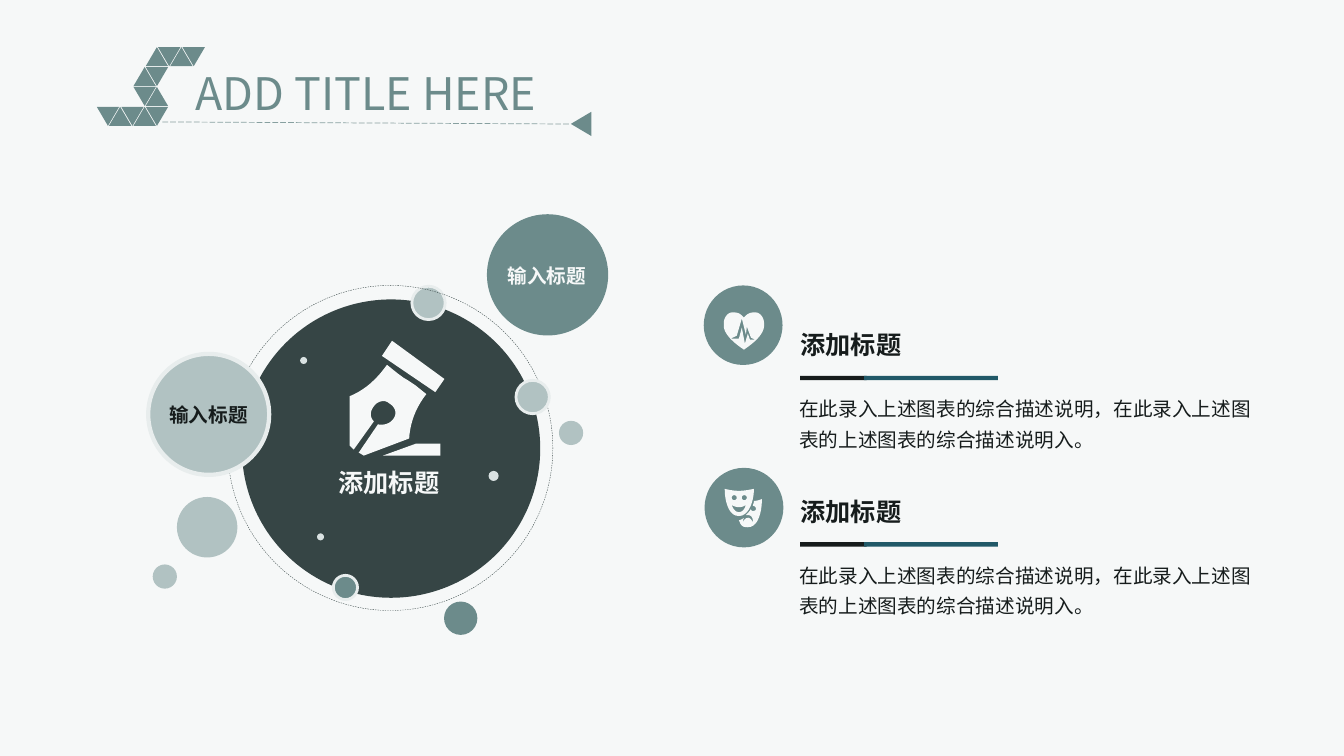
"""Build the pen-and-circles title slide with two described topics."""
from dataclasses import dataclass
from typing import Optional

from lxml import etree
from pptx import Presentation
from pptx import util as u
from pptx.dml.color import RGBColor
from pptx.enum import dml, shapes, text
from pptx.oxml import ns

PAPER, INK, DARK, TEAL = "F6F8F8", "161C1C", "364545", "6C8B8B"
MIST, HALO, SPECK, BLUE = "B1C2C2", "E8EDED", "DAE2E2", "215968"
NOTO, NARROW = "Noto Sans CJK SC", "Arial Narrow"
MIDDLE, TOP = text.MSO_ANCHOR.MIDDLE, text.MSO_ANCHOR.TOP


@dataclass
class Bubble:
    x: float
    y: float
    size: float
    fill: Optional[str]
    edge: Optional[str] = None
    edge_width: float = 2
    dashed: bool = False


@dataclass
class Label:
    words: str
    x: float
    y: float
    width: float
    height: float
    size: float
    color: str
    font: str = NOTO
    bold: bool = True
    centered: bool = False
    inset: tuple = (7.2, 3.6)
    anchor: text.MSO_ANCHOR = MIDDLE
    spacing: Optional[float] = None


@dataclass
class Topic:
    heading: str
    description: str
    badge_x: float
    badge_y: float
    heading_y: float
    icon: list


def paint(fill, color: str) -> None:
    fill.solid()
    fill.fore_color.rgb = RGBColor.from_string(color)


def finish(shape, fill: Optional[str]) -> None:
    shape.shadow.inherit = False
    shape.line.fill.background()
    if fill:
        paint(shape.fill, fill)
    else:
        shape.fill.background()


def draw_preset(slide, kind, x: float, y: float, width: float, height: float, fill: Optional[str]):
    shape = slide.shapes.add_shape(kind, u.Pt(x), u.Pt(y), u.Pt(width), u.Pt(height))
    finish(shape, fill)
    return shape


def draw_bubble(slide, bubble: Bubble) -> None:
    disc = draw_preset(slide, shapes.MSO_SHAPE.OVAL, bubble.x, bubble.y, bubble.size, bubble.size, bubble.fill)
    if bubble.edge:
        paint(disc.line.fill, bubble.edge)
        disc.line.width = u.Pt(bubble.edge_width)
    if bubble.dashed:
        disc.line.dash_style = dml.MSO_LINE.DASH


def write(shape, label: Label) -> None:
    shape.left, shape.top = u.Pt(label.x), u.Pt(label.y)
    shape.width, shape.height = u.Pt(label.width), u.Pt(label.height)
    frame = shape.text_frame
    frame.word_wrap, frame.auto_size = True, text.MSO_AUTO_SIZE.NONE
    frame.vertical_anchor = label.anchor
    frame.margin_left = frame.margin_right = u.Pt(label.inset[0])
    frame.margin_top = frame.margin_bottom = u.Pt(label.inset[1])
    paragraph = frame.paragraphs[0]
    paragraph.alignment = text.PP_ALIGN.CENTER if label.centered else text.PP_ALIGN.LEFT
    if label.spacing:
        paragraph.line_spacing = u.Pt(label.spacing)
    run = paragraph.add_run()
    run.text = label.words
    run.font.size, run.font.bold, run.font.name = u.Pt(label.size), label.bold, label.font
    paint(run.font.fill, label.color)
    etree.SubElement(run.font._element, ns.qn("a:ea"), typeface=NOTO)


def draw_label(slide, label: Label) -> None:
    write(slide.shapes.add_textbox(0, 0, 0, 0), label)


def flatten(outline: list, steps: int = 10) -> list:
    """Turn points (x, y) and cubic curves (x1, y1, x2, y2, x, y) into hundredths of a point."""
    points = [outline[0]]
    for segment in outline[1:]:
        if len(segment) == 2:
            points.append(segment)
            continue
        corners = [points[-1], segment[:2], segment[2:4], segment[4:]]
        for step in range(1, steps + 1):
            t = step / steps
            weights = ((1 - t) ** 3, 3 * t * (1 - t) ** 2, 3 * t * t * (1 - t), t ** 3)
            points.append(tuple(sum(w * c[axis] for w, c in zip(weights, corners)) for axis in (0, 1)))
    return [(x * 100, y * 100) for x, y in points]


def draw_icon(slide, outlines: list) -> None:
    contours = [flatten(outline) for outline in outlines]
    builder = slide.shapes.build_freeform(*contours[0][0], scale=u.Pt(1) / 100)
    for index, contour in enumerate(contours):
        if index:
            builder.move_to(*contour[0])
        builder.add_line_segments(contour[1:], close=True)
    finish(builder.convert_to_shape(), PAPER)


def eye(x: float, y: float = 355.5, r: float = 1.8) -> list:
    k = r * 0.55
    return [(x - r, y), (x - r, y - k, x - k, y - r, x, y - r), (x + k, y - r, x + r, y - k, x + r, y),
            (x + r, y + k, x + k, y + r, x, y + r), (x - k, y + r, x - r, y + k, x - r, y)]


def draw_topic(slide, topic: Topic) -> None:
    draw_preset(slide, shapes.MSO_SHAPE.OVAL, topic.badge_x, topic.badge_y, 56.3, 56.8, TEAL)
    draw_icon(slide, topic.icon)
    y = topic.heading_y
    draw_label(slide, Label(topic.description, 565.9, y + 43.2, 340.6, 47.5, 14, INK, bold=False,
                            inset=(5, 3), anchor=TOP, spacing=21.8))
    draw_label(slide, Label(topic.heading, 566.9, y, 83.5, 27.4, 18, INK, inset=(5, 3)))
    for x, width, color in ((571.5, 47.5, INK), (617.2, 95.7, BLUE)):
        draw_preset(slide, shapes.MSO_SHAPE.RECTANGLE, x, y + 35.9, width, 3.1, color)


def draw_header(slide) -> None:
    write(slide.shapes.title, Label("ADD TITLE HERE", 132.5, 40.3, 333.4, 46.1, 32, TEAL, bold=False,
                                    anchor=TOP, spacing=41.5))
    rule = slide.shapes.add_connector(shapes.MSO_CONNECTOR.STRAIGHT, u.Pt(116), u.Pt(87.1), u.Pt(407.5), u.Pt(88.6))
    paint(rule.line.fill, TEAL)
    rule.line.width, rule.line.dash_style = u.Pt(0.5), dml.MSO_LINE.LONG_DASH
    tint = rule._element.spPr.find(".//" + ns.qn("a:srgbClr"))
    etree.SubElement(tint, ns.qn("a:alpha"), val="80000")
    etree.SubElement(rule._element.spPr, ns.qn("a:effectLst"))
    triangle = shapes.MSO_SHAPE.ISOSCELES_TRIANGLE
    draw_preset(slide, triangle, 406.4, 81.2, 17.3, 14.6, TEAL).rotation = 270
    for row, columns in enumerate((range(4, 8), range(3, 5), range(3, 5), range(5))):
        for column in columns:
            tile = draw_preset(slide, triangle, 69.1 + 8.75 * column, 33.7 + 14.2 * row, 16, 13.6, TEAL)
            tile.rotation = 180 * ((row + column) % 2)


PEN = [
    [(252.7, 321.1), (249.8, 318.2), (249.8, 283), (260.6, 278.6, 268.6, 271.4, 276.5, 260.6), (283.7, 266.4),
     (288, 269.6), (292.3, 272.2), (297, 275.4), (304.6, 281.5), (296.6, 291.6, 293, 302.4, 292.3, 313.2),
     (259.9, 325.4), (256.3, 323.3), (270, 303.1), (273.6, 303.8, 277.9, 303.1, 280.8, 299.5),
     (283.7, 295.9, 283, 290.9, 277.9, 288), (275, 285.1, 269.3, 286.6, 267.1, 290.2),
     (264.2, 293.8, 264.2, 298.1, 267.1, 301)],
    [(273.6, 325.4), (314.6, 325.4), (314.6, 316.8), (297.4, 316.8)],
    [(311, 280.1), (317.5, 270.7), (280.1, 243.4), (272.9, 254.2)],
]
HEART = [
    [(531.4, 249.8), (520.6, 242.6, 517, 236.9, 517, 232.6), (517, 231.1), (517, 226.1, 520.6, 223.2, 522.7, 223.2),
     (524.2, 223.2), (527.8, 223.2, 529.2, 224.6, 531.4, 226.8), (533.5, 224.6, 535, 223.2, 538.6, 223.2),
     (540, 223.2), (542.2, 223.2, 545.8, 226.1, 545.8, 231.1), (545.8, 232.6),
     (545.8, 236.9, 542.2, 242.6, 531.4, 249.8)],
    [(536.4, 241.2), (533.5, 233.3), (532.8, 239), (529.9, 227.5), (526.3, 239.8), (522, 241.9), (527.8, 241.9),
     (529.9, 234), (532.1, 245.5), (534.2, 238.3), (535.7, 242.6), (539.3, 242.6)],
]
MASKS = [
    [(534.2, 376.6), (529.2, 376.6, 529.2, 374.4, 527.8, 371.5), (529.2, 371.5, 529.9, 370.8, 531.4, 370.1),
     (530.6, 371.5, 530.6, 373, 530.6, 373), (530.6, 373, 534.2, 365.8, 537.8, 373),
     (537.8, 373.7, 538.6, 367.9, 534.2, 367.9), (532.8, 367.9), (534.2, 366.5, 535.7, 365, 536.4, 363.6),
     (536.4, 364.3, 537.1, 365, 537.8, 365), (539.3, 365, 540, 364.3, 540, 363.6),
     (540, 362.2, 539.3, 361.4, 537.8, 361.4), (537.8, 360.7, 538.6, 359.3, 538.6, 357.8),
     (540.7, 357.8, 542.9, 357.1, 544.3, 356.4), (544.3, 364.3, 542.2, 376.6, 534.2, 376.6)],
    [(527.8, 368.6), (519.8, 368.6, 517.7, 356.4, 517.7, 349.2), (520.6, 349.9, 524.2, 350.6, 527.8, 350.6),
     (531.4, 350.6, 535, 349.9, 538.6, 349.2), (538.6, 356.4, 535.7, 368.6, 527.8, 368.6)],
    eye(524.5), eye(531.7),
    [(522.7, 360.7), (522.7, 360.7, 524.2, 365.8, 527.8, 365.8), (532.1, 365.8, 532.8, 360, 532.8, 360.7),
     (527.8, 364.3, 522.7, 360.7, 522.7, 360.7)],
]
BUBBLES = [
    Bubble(172.8, 213.9, 213.1, DARK), Bubble(294.2, 204.5, 23.8, MIST, HALO),
    Bubble(238.1, 411, 17.3, TEAL, HALO), Bubble(399.3, 300.6, 17.3, MIST), Bubble(317.2, 429.7, 23.8, TEAL),
    Bubble(214.4, 255, 5, SPECK), Bubble(349, 336.4, 7.2, SPECK), Bubble(126.4, 355, 43.2, MIST),
    Bubble(347.8, 153, 86.6, TEAL), Bubble(109.1, 403.2, 17.3, MIST), Bubble(226.5, 381, 5, SPECK),
    Bubble(162.7, 203.9, 232.2, None, DARK, 0.25, True), Bubble(368.6, 271.7, 23.8, MIST, HALO),
    Bubble(105.9, 252.8, 86.4, MIST, HALO, 3),
]
LABELS = [
    Label("添加标题", 234.7, 334.8, 100.8, 20.2, 18, PAPER),
    Label("输入标题", 352.8, 186.5, 75.6, 20.2, 14, PAPER, NARROW, centered=True),
    Label("输入标题", 111.2, 285.8, 75.6, 20.2, 14, INK, NARROW, centered=True),
]
DESCRIPTION = "在此录入上述图表的综合描述说明，在此录入上述图表的上述图表的综合描述说明入。"
TOPICS = [
    Topic("添加标题", DESCRIPTION, 502.7, 203.9, 232.6, HEART),
    Topic("添加标题", DESCRIPTION, 503.3, 334.2, 351.4, MASKS),
]


def main() -> None:
    deck = Presentation()
    deck.slide_width, deck.slide_height = u.Pt(960), u.Pt(540)
    slide = deck.slides.add_slide(deck.slide_layouts[5])
    paint(slide.background.fill, PAPER)
    for bubble in BUBBLES:
        draw_bubble(slide, bubble)
    draw_icon(slide, PEN)
    for label in LABELS:
        draw_label(slide, label)
    for topic in TOPICS:
        draw_topic(slide, topic)
    draw_header(slide)
    deck.save("out.pptx")


if __name__ == "__main__":
    main()
